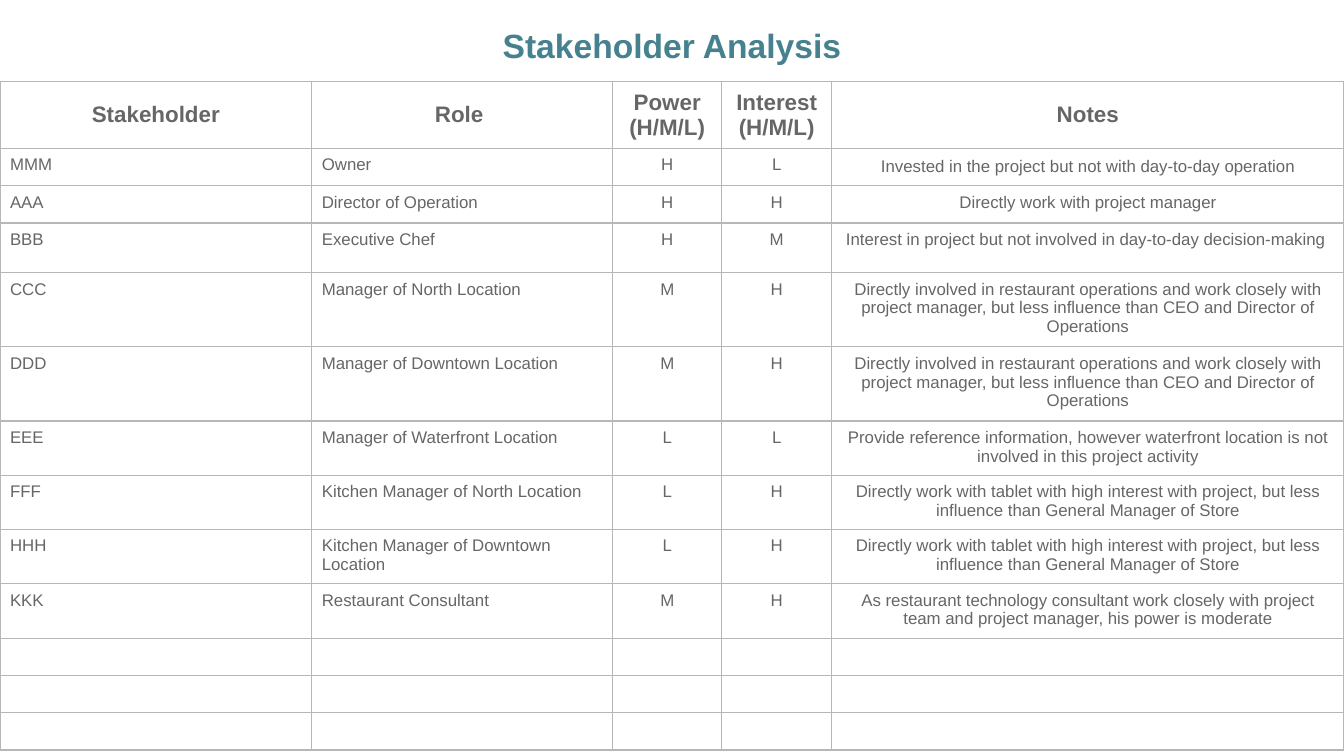
from dataclasses import astuple, dataclass

from lxml.etree import SubElement
from pptx import Presentation
from pptx.dml.color import RGBColor
from pptx.enum.text import MSO_ANCHOR, MSO_AUTO_SIZE, PP_ALIGN
from pptx.oxml.ns import qn
from pptx.slide import Slide
from pptx.table import Table, _Cell
from pptx.text.text import _Paragraph
from pptx.util import Inches, Pt

TEAL = RGBColor(0x45, 0x81, 0x8E)
GRAY = RGBColor(0x66, 0x66, 0x66)
RULE = RGBColor(0xB7, 0xB7, 0xB7)
FONT = "Arial"
WIDTH = Inches(10)
HEIGHT = WIDTH * 9 // 16
COLS = (0.232, 0.224, 0.081, 0.082, 0.381)  # shares of the slide's width
LOW, MID, TALL = 20, 29.1, 39.7  # row heights in points
ROWS = (36, LOW, LOW, 26.7, TALL, TALL, *[MID] * 4, *[LOW] * 3)
HEADS = ("Stakeholder", "Role ", "Power (H/M/L)", "Interest (H/M/L)", "Notes")


@dataclass
class Person:
    """One stakeholder, with fields in column order."""
    name: str
    role: str
    power: str
    interest: str
    note: str


SITE = ("Directly involved in restaurant operations and work closely with project "
        "manager, but less influence than CEO and Director of Operations")
TABLET = ("Directly work with tablet with high interest with project, "
          "but less influence than General Manager of Store")
PEOPLE = [
    Person("MMM", "Owner ", "H", "L",
           "Invested in the project but not with day-to-day operation"),
    Person("AAA", "Director of Operation", "H", "H",
           "Directly work with project manager"),
    Person("BBB", "Executive Chef", "H", "M",
           "Interest in project but not involved in day-to-day decision-making "),
    Person("CCC", "Manager of North Location", "M", "H", SITE),
    Person("DDD", "Manager of Downtown Location", "M", "H", SITE),
    Person("EEE", "Manager of Waterfront Location", "L", "L",
           "Provide reference information, however waterfront location "
           "is not involved in this project activity"),
    Person("FFF", "Kitchen Manager of North Location", "L", "H", TABLET),
    Person("HHH", "Kitchen Manager of Downtown Location", "L", "H", TABLET),
    Person("KKK", "Restaurant Consultant", "M", "H",
           "As restaurant technology consultant work closely with project team "
           "and project manager, his power is moderate"),
]


def style(para: _Paragraph, size: float, color: RGBColor, bold: bool,
          align: PP_ALIGN) -> None:
    """Set the font and alignment of a paragraph."""
    para.alignment = align
    font = para.font
    font.name, font.size, font.bold = FONT, Pt(size), bold
    font.color.rgb = color


def frame(cell: _Cell) -> None:
    """Draw the four borders of a cell, and leave it unfilled."""
    props = cell._tc.get_or_add_tcPr()
    for side in ("a:lnL", "a:lnR", "a:lnT", "a:lnB"):
        line = SubElement(props, qn(side), w=str(Pt(0.75)))
        fill = SubElement(line, qn("a:solidFill"))
        SubElement(fill, qn("a:srgbClr"), val=str(RULE))
    cell.fill.background()


def write(cell: _Cell, text: str, head: bool, center: bool) -> None:
    """Fill one cell with text, margins and borders."""
    cell.margin_left = cell.margin_right = Pt(5.4)
    cell.margin_top = cell.margin_bottom = Pt(3.8)
    cell.vertical_anchor = MSO_ANCHOR.MIDDLE if head else MSO_ANCHOR.TOP
    cell.text = text
    para = cell.text_frame.paragraphs[0]
    style(para, 12 if head else 9, GRAY, head,
          PP_ALIGN.CENTER if center else PP_ALIGN.LEFT)
    if not text:  # keeps an empty row low
        SubElement(para._p, qn("a:endParaRPr"), sz="900")
    frame(cell)


def add_title(slide: Slide) -> None:
    """Place the heading in the title placeholder."""
    title = slide.shapes.title
    title.left, title.top = int(WIDTH * 0.083), Inches(0.04)
    title.width, title.height = int(WIDTH * 0.834), Inches(0.5)
    box = title.text_frame
    box.text = "Stakeholder Analysis"
    box.auto_size = MSO_AUTO_SIZE.NONE
    box.vertical_anchor = MSO_ANCHOR.TOP
    box.margin_left = box.margin_right = Inches(0.1)
    box.margin_top = box.margin_bottom = Inches(0.1)
    para = box.paragraphs[0]
    para.line_spacing = 1.15
    style(para, 18, TEAL, True, PP_ALIGN.CENTER)


def add_grid(slide: Slide) -> Table:
    """Add the stakeholder table across the slide."""
    grid = slide.shapes.add_table(len(ROWS), len(COLS), 0, Pt(43.5),
                                  WIDTH, Pt(sum(ROWS))).table
    grid.first_row = grid.horz_banding = False
    for col, share in zip(grid.columns, COLS):
        col.width = int(WIDTH * share)
    for row, size in zip(grid.rows, ROWS):
        row.height = Pt(size)
    lines = [HEADS, *map(astuple, PEOPLE)]
    lines += [("",) * len(COLS)] * (len(ROWS) - len(lines))
    for r, line in enumerate(lines):
        for c, text in enumerate(line):
            write(grid.cell(r, c), text, r == 0, r == 0 or c > 1)
    return grid


def main() -> None:
    """Build and save the slide."""
    deck = Presentation()
    deck.slide_width, deck.slide_height = WIDTH, HEIGHT
    slide = deck.slides.add_slide(deck.slide_layouts[5])
    add_title(slide)
    grid = add_grid(slide)
    grid.cell(1, 4).vertical_anchor = MSO_ANCHOR.MIDDLE
    deck.save("out.pptx")


main()
